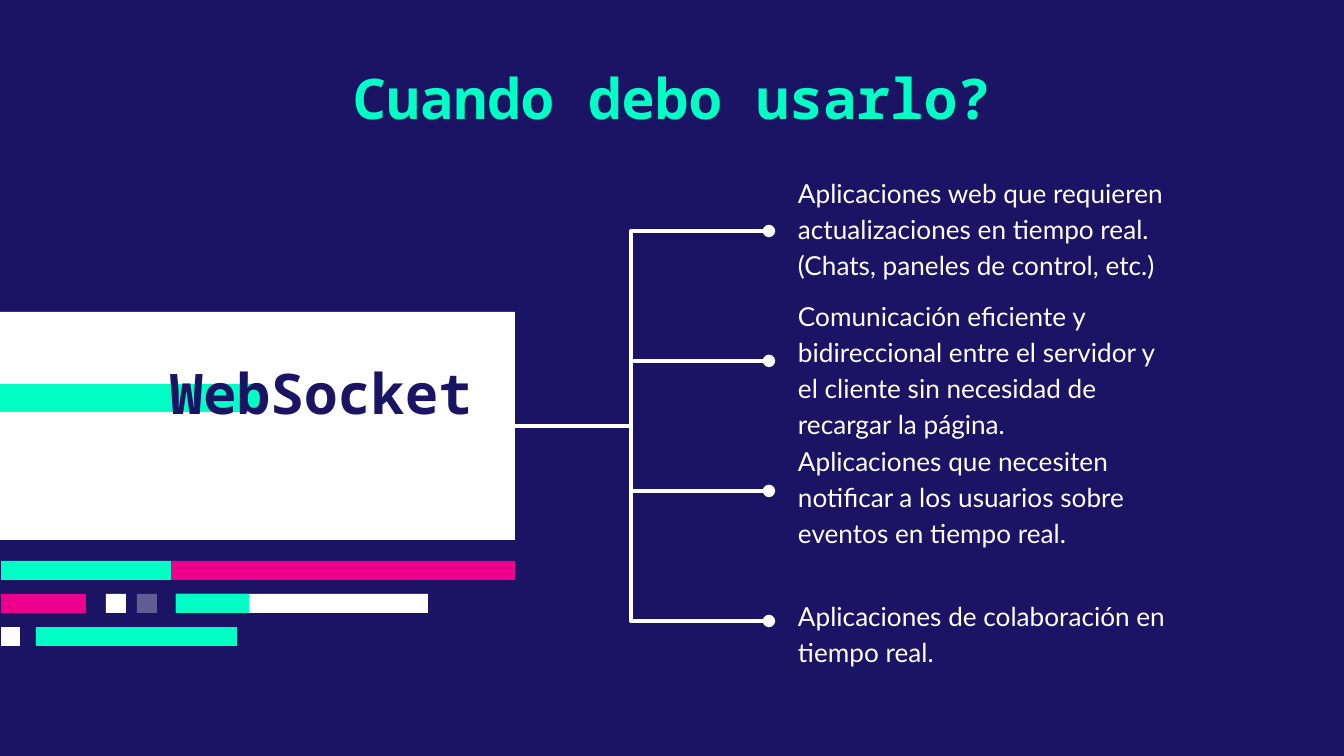
import pptx
import pptx.util
import pptx.dml.color
import pptx.enum.shapes
import pptx.enum.text
import pptx.oxml
import pptx.oxml.ns

COLORS = {"navy": "1B1464", "mint": "00FFC5", "pink": "EC008C", "white": "FFFFFF"}
EMU_PER_PX = 914400 / 134.4
WIDTH, HEIGHT = 1344, 756

# Content: (text, top, height) of each use case
USE_CASES = [
    ("Aplicaciones web que requieren actualizaciones en tiempo real. "
     "(Chats, paneles de control, etc.)", 173, 40),
    ("Comunicación eficiente y bidireccional entre el servidor y el cliente "
     "sin necesidad de recargar la página.", 296, 44),
    ("Aplicaciones que necesiten notificar a los usuarios sobre eventos "
     "en tiempo real.", 441, 40),
    ("Aplicaciones de colaboración en tiempo real.", 596, 40),
]
# Rows of bars: (left, width, colour, opacity %)
BAR_ROWS = [
    [(171, 344, "pink", 100), (1, 170, "mint", 100)],
    [(176, 252, "white", 100), (176, 73, "mint", 100), (1, 85, "pink", 100),
     (137, 20, "white", 31), (106, 20, "white", 100)],
    [(1, 19, "white", 100), (36, 201, "mint", 100)],
]
BAR_TOP, BAR_PITCH, BAR_HEIGHT = 561, 33, 19
BRANCH_LEFT, BRANCH_RIGHT, BRANCH_TOP, BRANCH_PITCH = 493, 769, 231, 130

HEADING = {"size": pptx.util.Pt(30), "name": "Noto Sans Mono", "bold": True}
BODY = {"size": pptx.util.Pt(14), "name": "Lato", "bold": False}
ALIGN = pptx.enum.text.PP_ALIGN
ANCHOR = pptx.enum.text.MSO_ANCHOR


def px(value):
    return pptx.util.Emu(round(value * EMU_PER_PX))


def rgb(name):
    return pptx.dml.color.RGBColor.from_string(COLORS[name])


def add_child(parent, tag, **attributes):
    child = pptx.oxml.parse_xml(f"<a:{tag} {pptx.oxml.ns.nsdecls('a')}/>")
    for name, value in attributes.items():
        child.set(name, value)
    parent.append(child)


def add_bar(page, left, top, width, height, color, opacity=100):
    bar = page.shapes.add_shape(pptx.enum.shapes.MSO_SHAPE.RECTANGLE,
                                *map(px, (left, top, width, height)))
    bar.shadow.inherit = False
    bar.fill.solid()
    bar.fill.fore_color.rgb = rgb(color)
    bar.line.fill.background()
    if opacity < 100:
        fill = bar.fill._xPr.find(pptx.oxml.ns.qn("a:solidFill"))
        add_child(fill[0], "alpha", val=str(opacity * 1000))


def add_text(page, text, frame, color, font, align, anchor=ANCHOR.TOP,
             inset=0, spacing=1.0):
    box = page.shapes.add_textbox(*map(px, frame)).text_frame
    settings = {"word_wrap": True, "vertical_anchor": anchor,
                "margin_left": px(13), "margin_right": px(13),
                "margin_top": px(inset), "margin_bottom": px(inset)}
    for name, value in settings.items():
        setattr(box, name, value)
    para = box.paragraphs[0]
    para.alignment = align
    para.line_spacing = spacing
    span = para.add_run()
    span.text = text
    for name, value in font.items():
        setattr(span.font, name, value)
    span.font.color.rgb = rgb(color)


def add_branch(page, start, end):
    branch = page.shapes.add_connector(pptx.enum.shapes.MSO_CONNECTOR.ELBOW,
                                       *map(px, start + end))
    branch.line.color.rgb = rgb("white")
    branch.line.width = pptx.util.Pt(2.25)
    add_child(branch.line._get_or_add_ln(), "tailEnd", type="oval")
    add_child(branch._element.spPr, "effectLst")


def main():
    deck = pptx.Presentation()
    deck.slide_width, deck.slide_height = px(WIDTH), px(HEIGHT)
    page = deck.slides.add_slide(deck.slide_layouts[6])
    page.background.fill.solid()
    page.background.fill.fore_color.rgb = rgb("navy")

    # Title and use cases
    add_bar(page, 0, 312, 515, 228, "white")
    add_text(page, "Cuando debo usarlo?", (188, 51, 968, 98), "mint",
             HEADING, ALIGN.CENTER, inset=13)
    for text, top, height in USE_CASES:
        add_text(page, text, (785, top, 396, height), "white",
                 BODY, ALIGN.LEFT, spacing=1.15)

    # Topic card
    add_bar(page, 0, 384, 262, 28, "mint")
    add_text(page, "WebSocket", (128, 363, 357, 58), "navy",
             HEADING, ALIGN.RIGHT, ANCHOR.MIDDLE)

    # Decorative bars
    for row, bars in enumerate(BAR_ROWS):
        for left, width, color, opacity in bars:
            add_bar(page, left, BAR_TOP + row * BAR_PITCH, width, BAR_HEIGHT,
                    color, opacity)

    # Branches from the card to each use case
    middle = BRANCH_TOP + BRANCH_PITCH * (len(USE_CASES) - 1) / 2
    for index in range(len(USE_CASES)):
        add_branch(page, (BRANCH_LEFT, middle),
                   (BRANCH_RIGHT, BRANCH_TOP + index * BRANCH_PITCH))

    deck.save("out.pptx")


if __name__ == "__main__":
    main()
